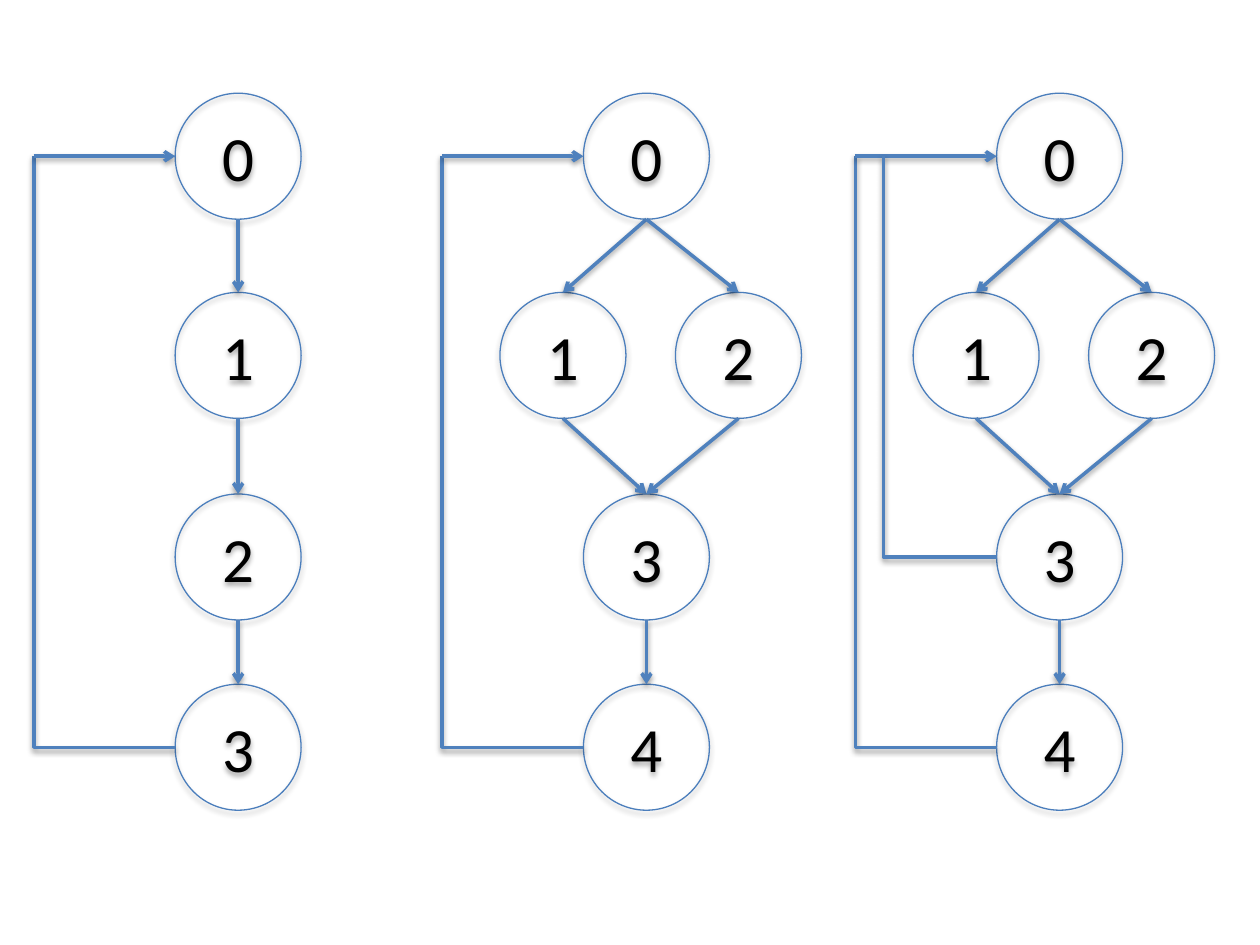
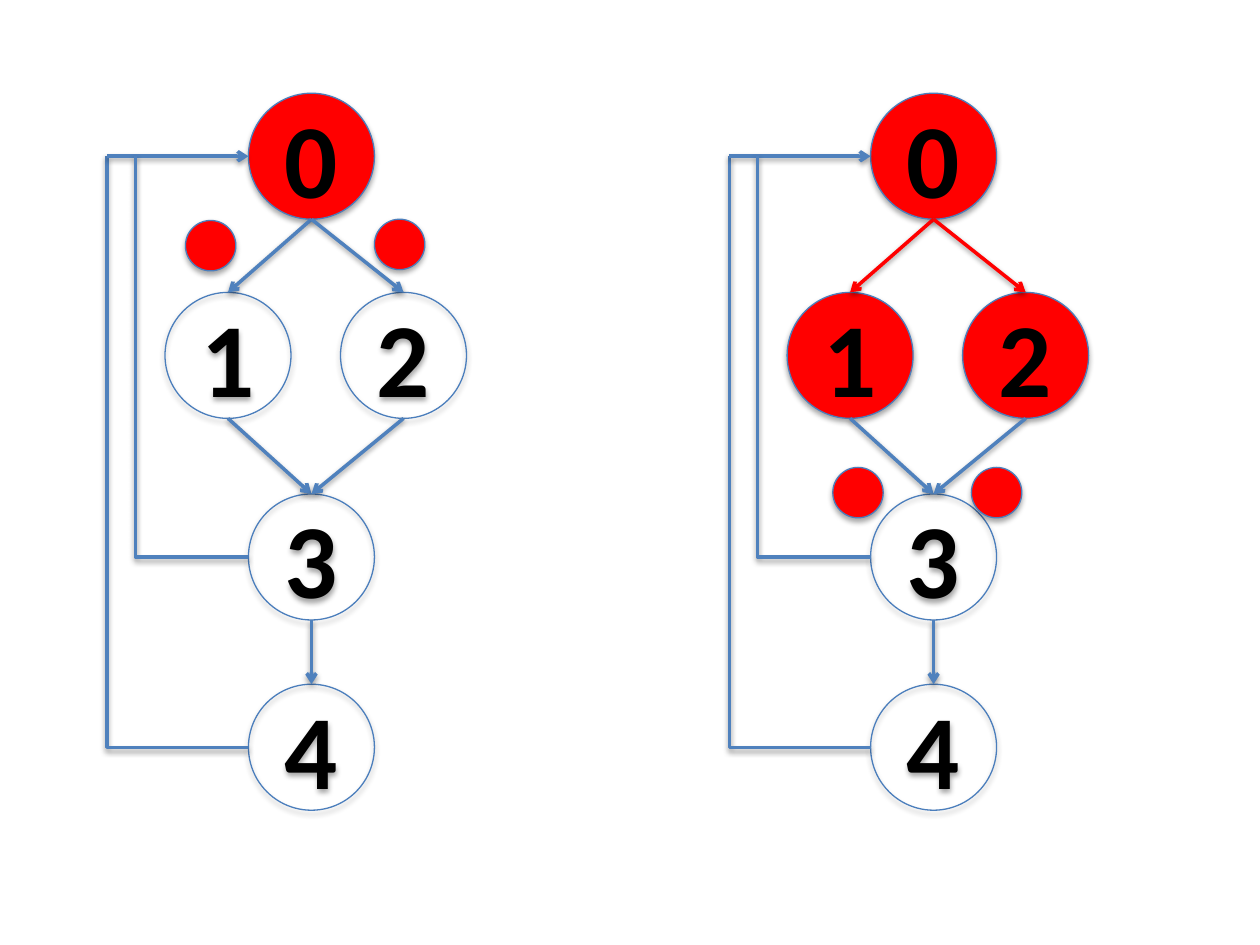
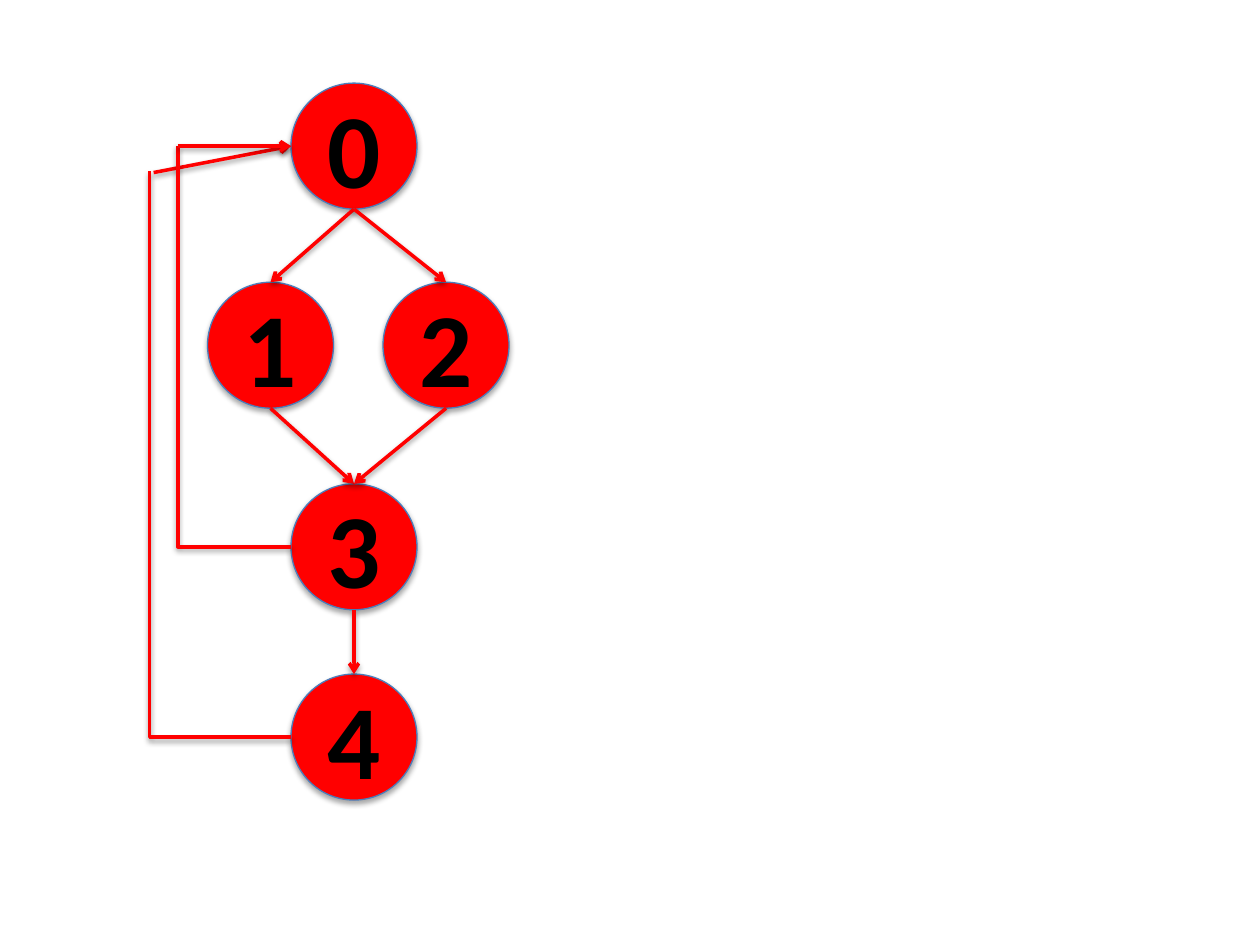
from dataclasses import dataclass

from lxml.etree import SubElement
from pptx import Presentation
from pptx.dml.color import RGBColor
from pptx.enum.shapes import MSO_CONNECTOR, MSO_SHAPE
from pptx.enum.text import MSO_ANCHOR, PP_ALIGN
from pptx.oxml.ns import qn
from pptx.util import Pt


@dataclass(frozen=True)
class Theme:
    """Colours and type sizes shared by all slides."""
    outline: RGBColor = RGBColor(0x4B, 0x7E, 0xBC)
    edge: RGBColor = RGBColor(0x4F, 0x81, 0xBD)
    lit: RGBColor = RGBColor(0xFF, 0x00, 0x00)
    text: RGBColor = RGBColor(0x00, 0x00, 0x00)
    outline_width: float = 0.75
    edge_width: float = 2


THEME = Theme()
PLAIN = {"name": "Calibri", "size": Pt(36), "bold": False}
STRONG = {"name": "Calibri", "size": Pt(60), "bold": True}

# All lengths are points, measured from the top left of node 0.
NODE, DOT = 72, 28.8
ROWS = (0, 113.8, 229, 337.7)
LEFT, RIGHT = -47.7, 52.6
OUTER, INNER = -80.8, -64.6
MIDDLE = NODE / 2

# Nodes: label -> (offset, row). Loops: (source, lane, drop below the
# middle of node 0, start of the return arrow or None if it is shared).
OUTER_LOOP = (OUTER, 0, (OUTER, MIDDLE))
CHAIN = {
    "nodes": {"0": (0, 0), "1": (0, 1), "2": (0, 2), "3": (0, 3)},
    "edges": ("01", "12", "23"),
    "loops": [("3", *OUTER_LOOP)],
}
DIAMOND = {
    "nodes": {"0": (0, 0), "1": (LEFT, 1), "2": (RIGHT, 1),
              "3": (0, 2), "4": (0, 3)},
    "edges": ("01", "02", "13", "23", "34"),
    "loops": [("4", *OUTER_LOOP)],
}
NESTED = {**DIAMOND, "loops": DIAMOND["loops"] + [("3", INNER, 0, None)]}
SPLIT = {**DIAMOND, "loops": [("4", OUTER, 14.4, (-78.5, 51.1)),
                              ("3", INNER, 0, (INNER, MIDDLE))]}

SLIDES = [
    [
        {"graph": CHAIN, "at": (100.1, 53.3), "font": PLAIN},
        {"graph": DIAMOND, "at": (333.4, 53.3), "font": PLAIN},
        {"graph": NESTED, "at": (569.5, 53.3), "font": PLAIN, "grouped": True},
    ],
    [
        {"graph": NESTED, "at": (142, 53.3), "font": STRONG, "grouped": True,
         "lit": "0", "dots": [(72, 72), (-36, 72.7)]},
        {"graph": NESTED, "at": (497.5, 53.3), "font": STRONG,
         "lit": "012", "dots": [(57.6, 213.8), (-21.6, 213.8)]},
    ],
    [
        {"graph": SPLIT, "at": (166.3, 47.5), "font": STRONG, "lit": "01234"},
    ],
]


def add_circle(shapes, left, top, size, lit):
    """Add an outlined circle, filled when lit, with the theme's shadow."""
    circle = shapes.add_shape(
        MSO_SHAPE.OVAL, Pt(left), Pt(top), Pt(size), Pt(size))
    if lit:
        circle.fill.solid()
        circle.fill.fore_color.rgb = THEME.lit
    else:
        circle.fill.background()
    circle.line.color.rgb = THEME.outline
    circle.line.width = Pt(THEME.outline_width)
    return circle


def add_label(circle, label, font_format):
    """Centre a label in a circle."""
    frame = circle.text_frame
    frame.vertical_anchor = MSO_ANCHOR.MIDDLE
    paragraph = frame.paragraphs[0]
    paragraph.alignment = PP_ALIGN.CENTER
    run = paragraph.add_run()
    run.text = label
    for attribute, value in font_format.items():
        setattr(run.font, attribute, value)
    run.font.color.rgb = THEME.text


def add_line(shapes, kind, start, end, lit):
    """Add a connector that keeps the theme's soft shadow."""
    line = shapes.add_connector(kind, *map(Pt, (*start, *end)))
    line.line.color.rgb = THEME.lit if lit else THEME.edge
    line.line.width = Pt(THEME.edge_width)
    return line


def add_arrow(shapes, start, end, lit):
    """Add a straight line with an open arrowhead at its end."""
    arrow = add_line(shapes, MSO_CONNECTOR.STRAIGHT, start, end, lit)
    outline = arrow.element.spPr.find(qn("a:ln"))
    SubElement(outline, qn("a:tailEnd")).set("type", "arrow")


def add_corner(shapes, start, end, lit):
    """Run left from start, then up to end, with a single bend."""
    corner = add_line(shapes, MSO_CONNECTOR.ELBOW, end, start, lit)
    properties = corner.element.spPr
    properties.find(qn("a:prstGeom")).set("prst", "bentConnector2")
    properties.find(qn("a:xfrm")).set("rot", "10800000")


def draw_graph(shapes, graph, at, font, lit="", dots=(), grouped=False):
    """Draw nodes, edges, return loops and dots of one flow graph."""
    if grouped:
        shapes = shapes.add_group_shape().shapes
    x, y = at
    corners = {label: (x + offset, y + ROWS[row])
               for label, (offset, row) in graph["nodes"].items()}

    for label, (left, top) in corners.items():
        add_label(add_circle(shapes, left, top, NODE, label in lit), label, font)

    for source, target in graph["edges"]:
        (x1, y1), (x2, y2) = corners[source], corners[target]
        add_arrow(shapes, (x1 + MIDDLE, y1 + NODE), (x2 + MIDDLE, y2),
                  source in lit and target in lit)

    for source, lane, drop, arrow_start in graph["loops"]:
        left, top = corners[source]
        loop_lit = source in lit and "0" in lit
        add_corner(shapes, (left, top + MIDDLE),
                   (x + lane, y + MIDDLE + drop), loop_lit)
        if arrow_start:
            dx, dy = arrow_start
            add_arrow(shapes, (x + dx, y + dy), (x, y + MIDDLE), loop_lit)

    for dx, dy in dots:
        add_circle(shapes, x + dx, y + dy, DOT, True)


def build():
    """Build one slide for each list of graphs."""
    deck = Presentation()
    deck.slide_width, deck.slide_height = Pt(720), Pt(540)
    blank = deck.slide_layouts[6]
    for graphs in SLIDES:
        slide = deck.slides.add_slide(blank)
        for settings in graphs:
            draw_graph(slide.shapes, **settings)
    deck.save("out.pptx")


build()
